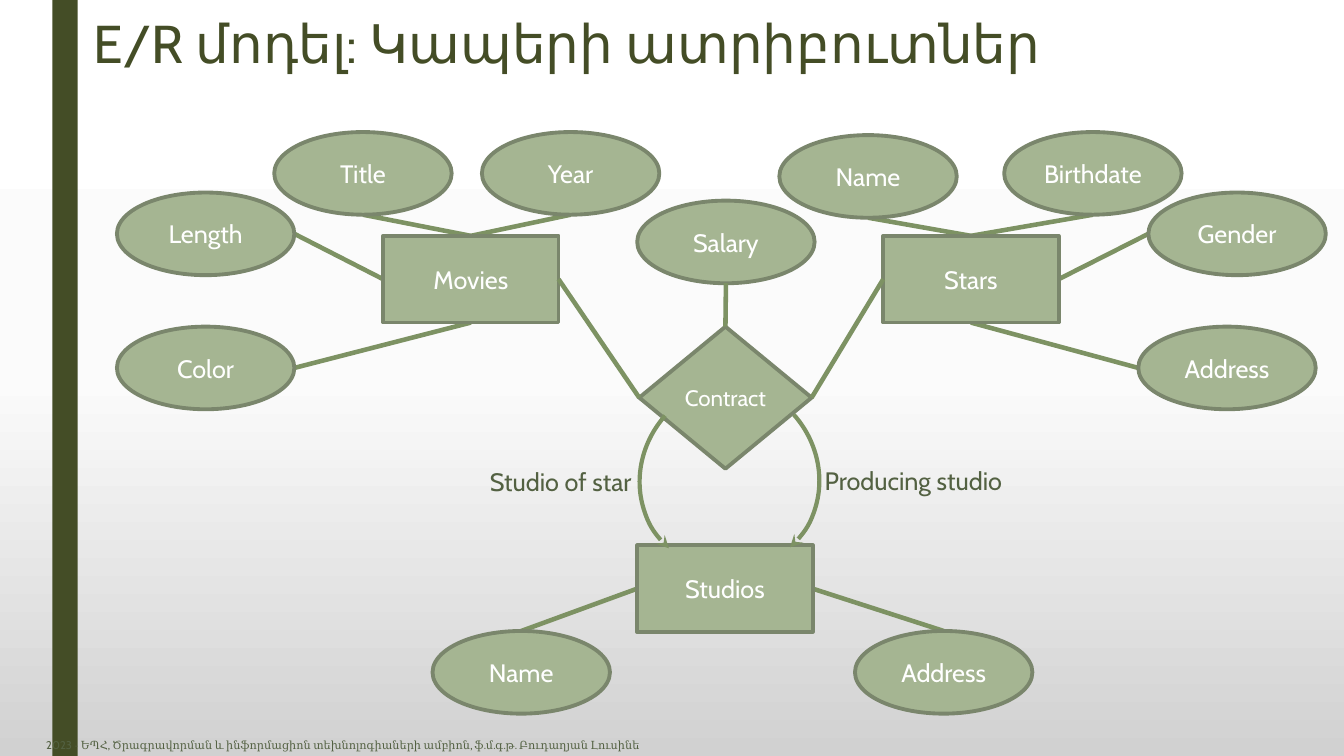
from copy import deepcopy
from collections import namedtuple

from lxml.etree import SubElement
from pptx import Presentation
from pptx.dml.color import RGBColor
from pptx.enum.shapes import MSO_CONNECTOR, MSO_SHAPE as SHAPE
from pptx.enum.text import MSO_ANCHOR as ANCHOR, MSO_AUTO_SIZE as AUTO_SIZE, PP_ALIGN as ALIGN
from pptx.oxml.ns import qn
from pptx.util import Pt

PX = 9144  # EMU, 100 px to the inch
COLORS = {
    "bar": "444D26", "title": "444D26", "label": "536142", "white": "FFFFFF",
    "node": "A5B592", "border": "7A866C", "link": "7D9263",
}
BACKGROUND = [(0, "FFFFFF"), (0.5, "FBFBFB"), (1, "D1D1D1")]
TITLE_ONLY = 5

Box = namedtuple("Box", "left top width height")
ENTITY_SIZE = (174, 86)
ATTRIBUTE_SIZE = (176, 82)
MOVIES = Box(380, 234, *ENTITY_SIZE)
STARS = Box(876, 234, *ENTITY_SIZE)
STUDIOS = Box(632, 541, *ENTITY_SIZE)
CONTRACT = Box(634, 324, 171, 141)

# Entity box, name and attributes: name, offset from the entity,
# side of the entity and side of the attribute that the link joins
ENTITIES = [
    (MOVIES, "Movies", [
        ("Length", -264, -43, "left", "right"),
        ("Title", -108, -103, "top", "bottom"),
        ("Color", -264, 90, "bottom", "right"),
        ("Year", 98, -103, "top", "bottom"),
    ]),
    (STARS, "Stars", [
        ("Name", -103, -100, "top", "bottom"),
        ("Birthdate", 120, -103, "top", "bottom"),
        ("Gender", 263, -43, "right", "left"),
        ("Address", 253, 90, "bottom", "left"),
    ]),
    (STUDIOS, "Studios", [
        ("Name", -203, 85, "left", "top"),
        ("Address", 216, 85, "right", "top"),
    ]),
]


def emu(lengths):
    return [round(length * PX) for length in lengths]


def rgb(name):
    return RGBColor.from_string(COLORS[name])


def apply(target, values):
    for name, value in values.items():
        setattr(target, name, value)


def side_point(box, side):
    """Middle of one side of the box."""
    across, down = {"left": (0, 0.5), "right": (1, 0.5),
                    "top": (0.5, 0), "bottom": (0.5, 1)}[side]
    return box.left + across * box.width, box.top + down * box.height


def add_run(paragraph, text, size, color, font="Cabin"):
    run = paragraph.add_run()
    run.text = text
    apply(run.font, {"name": font, "size": Pt(size)})
    run.font.color.rgb = rgb(color)


def style_line(line, color, width):
    line.color.rgb = rgb(color)
    line.width = Pt(width)


def add_link(slide, start, end):
    link = slide.shapes.add_connector(MSO_CONNECTOR.STRAIGHT, *emu(start + end))
    style_line(link.line, "link", 3.25)
    SubElement(link.element.spPr, qn("a:effectLst"))


def add_node(slide, kind, box, text, size=18, side_margin=10):
    node = slide.shapes.add_shape(kind, *emu(box))
    node.shadow.inherit = False
    node.fill.solid()
    node.fill.fore_color.rgb = rgb("node")
    style_line(node.line, "border", 2.75)
    apply(node.text_frame, {
        "word_wrap": True, "vertical_anchor": ANCHOR.MIDDLE,
        "margin_left": side_margin * PX, "margin_right": side_margin * PX,
    })
    paragraph = node.text_frame.paragraphs[0]
    paragraph.alignment = ALIGN.CENTER
    add_run(paragraph, text, size, "white")


def add_arrow_arc(slide, box, rotation, mirrored=False):
    arc = slide.shapes.add_shape(SHAPE.ARC, *emu(box))
    arc.shadow.inherit = False
    arc.fill.background()
    style_line(arc.line, "link", 3)
    arc.rotation = rotation
    if mirrored:
        arc.element.spPr.find(qn("a:xfrm")).set("flipH", "1")
    SubElement(arc.element.spPr.find(qn("a:ln")), qn("a:headEnd"), type="stealth")


def add_role(slide, box, text):
    frame = slide.shapes.add_textbox(*emu(box)).text_frame
    apply(frame, {"word_wrap": False, "auto_size": AUTO_SIZE.SHAPE_TO_FIT_TEXT})
    add_run(frame.paragraphs[0], text, 18, "label")


def draw_background(slide):
    fill = slide.background.fill
    fill.gradient()
    fill.gradient_angle = 270
    stops = next(slide.element.iter(qn("a:gsLst")))
    stops.append(deepcopy(stops[0]))
    for stop, (position, color) in zip(fill.gradient_stops, BACKGROUND):
        stop.position = position
        stop.color.rgb = RGBColor.from_string(color)


def draw_side_bar(slide, box):
    bar = slide.shapes.add_shape(SHAPE.RECTANGLE, *emu(box))
    bar.shadow.inherit = False
    bar.fill.solid()
    bar.fill.fore_color.rgb = rgb("bar")
    bar.line.fill.background()


def draw_title(slide, box, text):
    title = slide.shapes.title
    apply(title, dict(zip(Box._fields, emu(box))))
    apply(title.text_frame, {"word_wrap": True, "auto_size": AUTO_SIZE.NONE,
                             "vertical_anchor": ANCHOR.MIDDLE})
    paragraph = title.text_frame.paragraphs[0]
    apply(paragraph, {"alignment": ALIGN.LEFT, "line_spacing": 0.89})
    add_run(paragraph, text, 38, "title")


def draw_footer(slide, box, year, credit):
    frame = slide.shapes.add_textbox(*emu(box)).text_frame
    frame.word_wrap = True
    paragraph = frame.paragraphs[0]
    paragraph.alignment = ALIGN.CENTER
    add_run(paragraph, year, 8, "label")
    add_run(paragraph, credit, 8, "label", "Cambria")


def draw_entity(slide, box, name, attributes):
    ovals = []
    for text, right, down, entity_side, oval_side in attributes:
        oval = Box(box.left + right, box.top + down, *ATTRIBUTE_SIZE)
        add_link(slide, side_point(box, entity_side), side_point(oval, oval_side))
        ovals.append((oval, text))
    add_node(slide, SHAPE.RECTANGLE, box, name)
    for oval, text in ovals:
        add_node(slide, SHAPE.OVAL, oval, text)


def draw_contract(slide, box):
    """The relationship with its own attribute and its two roles."""
    left, top = box.left, box.top
    salary = Box(left - 2, top - 125, *ATTRIBUTE_SIZE)
    add_node(slide, SHAPE.DIAMOND, box, "Contract", 16, 0)
    add_link(slide, side_point(MOVIES, "right"), side_point(box, "left"))
    add_link(slide, side_point(STARS, "left"), side_point(box, "right"))
    add_arrow_arc(slide, Box(left + 3, top + 52, 180, 192), 221.5)
    add_arrow_arc(slide, Box(left - 4, top + 51, 180, 192), 138.5, mirrored=True)
    add_role(slide, Box(left - 158, top + 134, 163, 40), "Studio of star")
    add_role(slide, Box(left + 174, top + 133, 198, 40), "Producing studio")
    add_node(slide, SHAPE.OVAL, salary, "Salary")
    add_link(slide, side_point(salary, "bottom"), side_point(box, "top"))


def main():
    presentation = Presentation()
    apply(presentation, {"slide_width": 1333 * PX, "slide_height": 750 * PX})
    slide = presentation.slides.add_slide(presentation.slide_layouts[TITLE_ONLY])
    draw_background(slide)
    draw_side_bar(slide, Box(52, 0, 25, 750))
    draw_title(slide, Box(83, 8, 1240, 76), "E/R մոդել: Կապերի ատրիբուտներ")
    draw_footer(slide, Box(0, 728, 681, 23), "2023 ",
                "- ԵՊՀ, Ծրագրավորման և ինֆորմացիոն տեխնոլոգիաների ամբիոն, "
                "ֆ.մ.գ.թ. Բուդաղյան Լուսինե")
    for entity in ENTITIES:
        draw_entity(slide, *entity)
    draw_contract(slide, CONTRACT)
    presentation.save("out.pptx")


if __name__ == "__main__":
    main()
